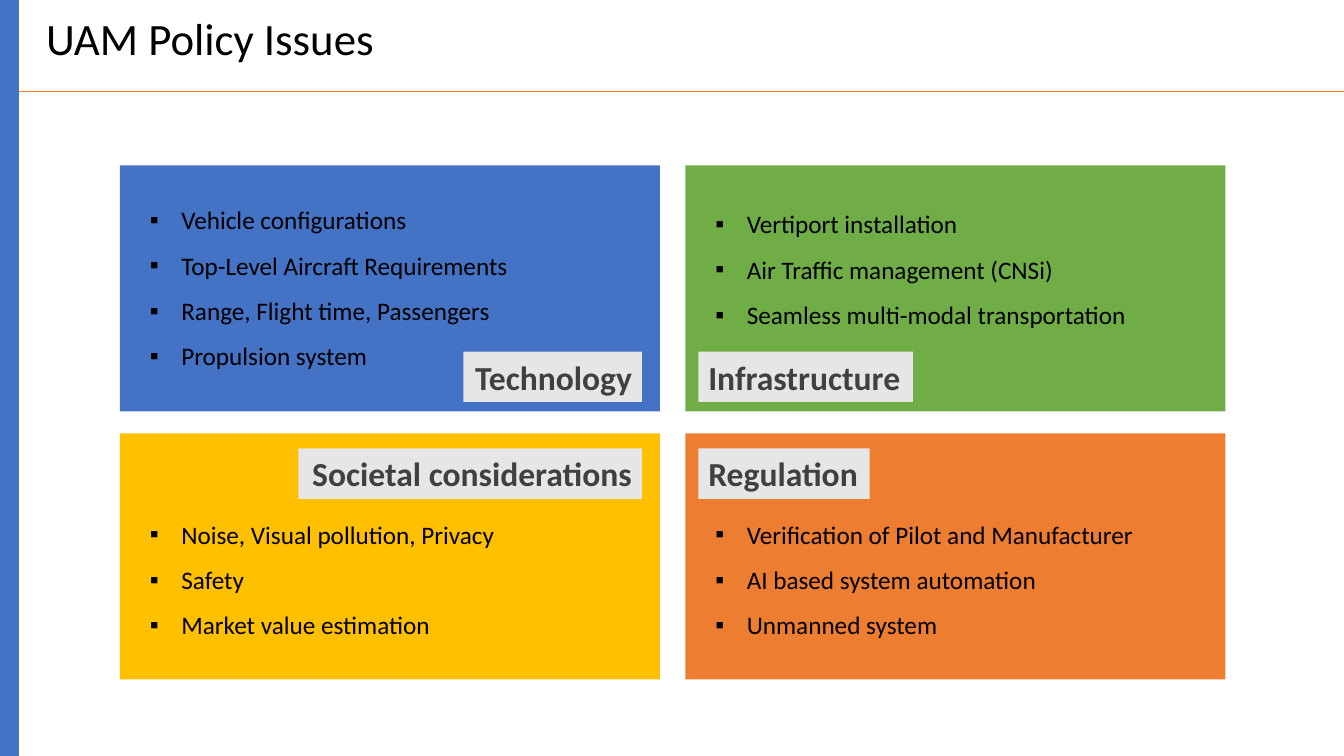
from lxml import etree
from pptx import Presentation
from pptx.dml.color import RGBColor
from pptx.enum.shapes import MSO_CONNECTOR, MSO_SHAPE
from pptx.enum.text import MSO_ANCHOR, MSO_AUTO_SIZE, PP_ALIGN
from pptx.oxml.ns import qn
from pptx.util import Cm, Pt

RECTANGLE = MSO_SHAPE.RECTANGLE
STRAIGHT = MSO_CONNECTOR.STRAIGHT
TOP = MSO_ANCHOR.TOP
FIT_SHAPE, FIXED = MSO_AUTO_SIZE.SHAPE_TO_FIT_TEXT, MSO_AUTO_SIZE.NONE
LEFT, RIGHT = PP_ALIGN.LEFT, PP_ALIGN.RIGHT

COLORS = {"blue": "4472C4", "green": "70AD47", "yellow": "FFC000",
          "orange": "ED7D31", "label": "E7E6E6", "gray": "404040",
          "black": "000000"}
PAGE_WIDTH, PAGE_HEIGHT = 33.87, 19.05
BAR_WIDTH = 0.48

# Quadrant grid
CARD_LEFT, CARD_TOP, CARD_WIDTH, CARD_HEIGHT = 3.02, 4.17, 13.61, 6.2
COLUMN_STEP, ROW_STEP = 14.25, 6.75
LABEL_TOPS, LABEL_HEIGHT = (8.86, 11.3), 1.27
LABEL_RIGHT, LABEL_LEFT = 16.18, 17.6
LIST_INSET = 0.51

# Color, label, label width, list top, list width, list height, items
QUADRANTS = [
    ("blue", "Technology", 4.5, 4.65, 10.01, 4.75,
     ["Vehicle configurations", "Top-Level Aircraft Requirements",
      "Range, Flight time, Passengers", "Propulsion system"]),
    ("green", "Infrastructure", 5.41, 4.75, 10.97, 4.75,
     ["Vertiport installation", "Air Traffic management (CNSi)",
      "Seamless multi-modal transportation"]),
    ("yellow", "Societal considerations", 8.66, 12.57, 9.3, 3.61,
     ["Noise, Visual pollution, Privacy", "Safety",
      "Market value estimation"]),
    ("orange", "Regulation", 4.32, 12.57, 11.18, 4.75,
     ["Verification of Pilot and Manufacturer",
      "AI based system automation", "Unmanned system"]),
]


class PolicySlide:
    def __init__(self, deck):
        self.font = "Calibri"
        self.page = deck.slides.add_slide(deck.slide_layouts[5])

    def color(self, name):
        return RGBColor.from_string(COLORS[name])

    def fill_text(self, box, lines, size, color, frame_format, para_format,
                  bold=False):
        frame = box.text_frame
        for name, value in frame_format.items():
            setattr(frame, name, value)
        frame.text = "\n".join(lines)
        font_format = {"name": self.font, "size": Pt(size), "bold": bold}
        for para in frame.paragraphs:
            for name, value in para_format.items():
                setattr(para, name, value)
            span = para.runs[0]
            for name, value in font_format.items():
                setattr(span.font, name, value)
            span.font.color.rgb = self.color(color)

    def title(self, text, left, top, width, height):
        box = self.page.shapes.title
        place = {"left": left, "top": top, "width": width, "height": height}
        for name, value in place.items():
            setattr(box, name, Cm(value))
        self.fill_text(box, [text], 32, "black",
                       {"word_wrap": False, "auto_size": FIT_SHAPE,
                        "vertical_anchor": TOP},
                       {"alignment": LEFT, "line_spacing": 0.9})

    def rectangle(self, color, left, top, width, height):
        box = self.page.shapes.add_shape(
            RECTANGLE, Cm(left), Cm(top), Cm(width), Cm(height))
        box.shadow.inherit = False
        box.fill.solid()
        box.fill.fore_color.rgb = self.color(color)
        box.line.fill.background()
        return box

    def rule(self, color, left, right, top):
        line = self.page.shapes.add_connector(
            STRAIGHT, Cm(left), Cm(top), Cm(right), Cm(top))
        line.line.color.rgb = self.color(color)
        line.line.width = Pt(0.5)
        properties = line._element.find(qn("p:spPr"))
        etree.SubElement(properties, qn("a:effectLst"))

    def label(self, text, left, top, width, alignment):
        box = self.rectangle("label", left, top, width, LABEL_HEIGHT)
        self.fill_text(box, [text], 24, "gray",
                       {"word_wrap": False, "auto_size": FIT_SHAPE,
                        "vertical_anchor": TOP},
                       {"alignment": alignment}, bold=True)

    def bullets(self, items, left, top, width, height):
        box = self.page.shapes.add_textbox(
            Cm(left), Cm(top), Cm(width), Cm(height))
        self.fill_text(box, items, 18, "black",
                       {"word_wrap": True, "auto_size": FIXED},
                       {"alignment": LEFT, "line_spacing": 1.5})
        for para in box.text_frame.paragraphs:
            properties = para._p.get_or_add_pPr()
            properties.set("marL", str(Cm(0.79)))
            properties.set("indent", str(-Cm(0.79)))
            etree.SubElement(properties, qn("a:buFont"), typeface="Arial")
            etree.SubElement(properties, qn("a:buChar"), char="▪")


def main():
    deck = Presentation()
    deck.slide_width, deck.slide_height = Cm(PAGE_WIDTH), Cm(PAGE_HEIGHT)
    slide = PolicySlide(deck)

    # Header and side bar
    slide.rule("orange", BAR_WIDTH, PAGE_WIDTH, 2.31)
    slide.rectangle("blue", 0, 0, BAR_WIDTH, PAGE_HEIGHT)
    slide.title("UAM Policy Issues", 0.91, 0.3, 8.84, 1.5)

    # Quadrants, each with a label near the center and a list
    for index, quadrant in enumerate(QUADRANTS):
        color, name, label_width, list_top, list_width, list_height, items = quadrant
        row, column = divmod(index, 2)
        left = CARD_LEFT + column * COLUMN_STEP
        slide.rectangle(color, left, CARD_TOP + row * ROW_STEP,
                        CARD_WIDTH, CARD_HEIGHT)
        label_left = LABEL_LEFT if column else LABEL_RIGHT - label_width
        slide.label(name, label_left, LABEL_TOPS[row], label_width,
                    LEFT if column else RIGHT)
        slide.bullets(items, left + LIST_INSET, list_top, list_width,
                      list_height)

    deck.save("out.pptx")


if __name__ == "__main__":
    main()
